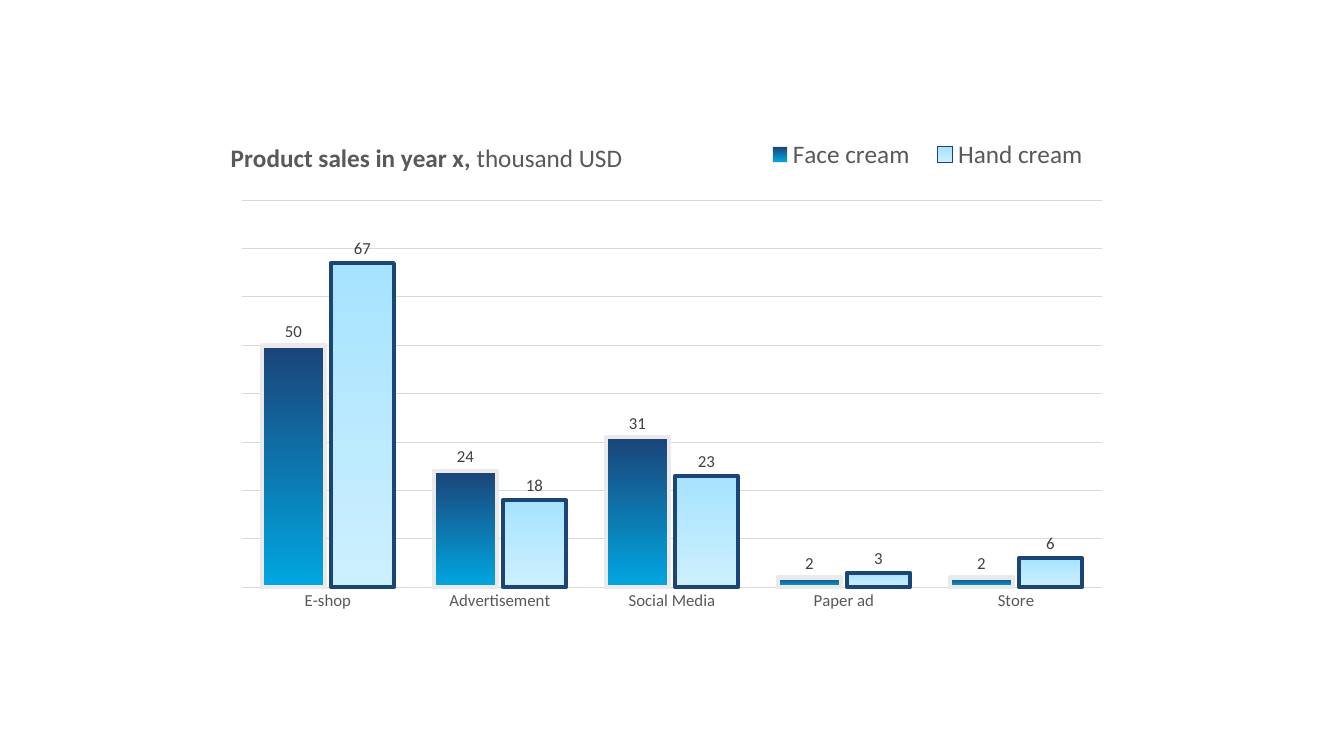
import pptx
import pptx.util
import pptx.chart.data
import pptx.dml.color
import pptx.enum.chart
import lxml.etree

CHANNELS = ["E-shop", "Advertisement", "Social Media", "Paper ad", "Store"]
PRODUCTS = [
    {"name": "Face cream", "sales": [50, 24, 31, 2, 2],
     "gradient": ("1B4479", "00A7E1"), "outline": ("EBE9E9", 3.25)},
    {"name": "Hand cream", "sales": [67, 18, 23, 3, 6],
     "gradient": ("A6E3FF", "CDF0FF"), "outline": ("1B4479", 2.75)},
]
HEADING = [("Product sales in year x,", True), (" thousand USD", False)]

THEME = {
    "font": "Calibri",
    "base": (10, "000000"),
    "heading": (18, "595959"),
    "axis": (12, "595959"),
    "label": (12, "404040"),
    "grid": ("D9D9D9", 0.75),
}
SLIDE_SIZE = (13.33, 7.5)
CHART_SHARE = {"left": 1 / 6, "top": 0.176, "width": 2 / 3, "height": 0.711}
PLOT_SHARE = {"x": 0.02, "y": 0.125, "w": 0.96, "h": 0.72}
HEADING_SHARE = {"x": 0.004, "y": 0.01}
LEGEND_SHARE = {"x": 0.59, "y": 0.0, "w": 0.39, "h": 0.08}


def rgb(value):
    return pptx.dml.color.RGBColor.from_string(value)


def apply(target, formats):
    for name, value in formats.items():
        setattr(target, name, value)


def style_font(font, role, bold=False):
    size, color = THEME[role]
    apply(font, {"name": THEME["font"], "size": pptx.util.Pt(size), "bold": bold})
    font.color.rgb = rgb(color)


def style_line(line, color, width):
    line.color.rgb = rgb(color)
    line.width = pptx.util.Pt(width)


def place(element, index, share, inner=False):
    prefix = "{" + element.nsmap["c"] + "}"
    for old in element.findall(prefix + "layout"):
        element.remove(old)
    layout = lxml.etree.Element(prefix + "layout")
    element.insert(index, layout)
    manual = lxml.etree.SubElement(layout, prefix + "manualLayout")
    settings = {"layoutTarget": "inner"} if inner else {}
    settings.update({"xMode": "edge", "yMode": "edge"})
    settings.update(share)
    for tag, value in settings.items():
        lxml.etree.SubElement(manual, prefix + tag).set("val", str(value))


def add_sales_chart(slide):
    data = pptx.chart.data.CategoryChartData()
    data.categories = CHANNELS
    for product in PRODUCTS:
        data.add_series(product["name"], product["sales"])
    left, width = (pptx.util.Inches(SLIDE_SIZE[0] * CHART_SHARE[k]) for k in ("left", "width"))
    top, height = (pptx.util.Inches(SLIDE_SIZE[1] * CHART_SHARE[k]) for k in ("top", "height"))
    return slide.shapes.add_chart(
        pptx.enum.chart.XL_CHART_TYPE.COLUMN_CLUSTERED, left, top, width, height, data).chart


def style_heading(chart):
    chart.has_title = True
    paragraph = chart.chart_title.text_frame.paragraphs[0]
    for text, bold in HEADING:
        run = paragraph.add_run()
        run.text = text
        style_font(run.font, "heading", bold)
    place(chart.chart_title._element, 1, HEADING_SHARE)


def style_legend(chart):
    chart.has_legend = True
    apply(chart.legend, {"position": pptx.enum.chart.XL_LEGEND_POSITION.BOTTOM,
                         "include_in_layout": False})
    style_font(chart.legend.font, "heading")
    place(chart.legend._element, 1, LEGEND_SHARE)


def style_axes(chart):
    no_tick = pptx.enum.chart.XL_TICK_MARK.NONE
    channels, sales = chart.category_axis, chart.value_axis
    apply(channels, {"major_tick_mark": no_tick, "minor_tick_mark": no_tick})
    style_font(channels.tick_labels.font, "axis")
    style_line(channels.format.line, *THEME["grid"])
    apply(sales, {"visible": False, "minimum_scale": 0, "maximum_scale": 80,
                  "major_unit": 10, "has_major_gridlines": True})
    style_line(sales.major_gridlines.format.line, *THEME["grid"])


def style_columns(chart):
    plot = chart.plots[0]
    apply(plot, {"gap_width": 63, "overlap": -9, "vary_by_categories": False})
    for product, columns in zip(PRODUCTS, plot.series):
        fill = columns.format.fill
        fill.gradient()
        fill.gradient_angle = 270
        for position, (stop, color) in enumerate(zip(fill.gradient_stops, product["gradient"])):
            stop.position = position
            stop.color.rgb = rgb(color)
        style_line(columns.format.line, *product["outline"])
        labels = columns.data_labels
        apply(labels, {"show_value": True,
                       "position": pptx.enum.chart.XL_LABEL_POSITION.OUTSIDE_END})
        style_font(labels.font, "label")


def main():
    deck = pptx.Presentation()
    deck.slide_width, deck.slide_height = map(pptx.util.Inches, SLIDE_SIZE)
    slide = deck.slides.add_slide(deck.slide_layouts[6])
    chart = add_sales_chart(slide)
    style_font(chart.font, "base")
    for style in (style_heading, style_legend, style_axes, style_columns):
        style(chart)
    place(chart._chartSpace.chart.plotArea, 0, PLOT_SHARE, inner=True)
    deck.save("out.pptx")


if __name__ == "__main__":
    main()
